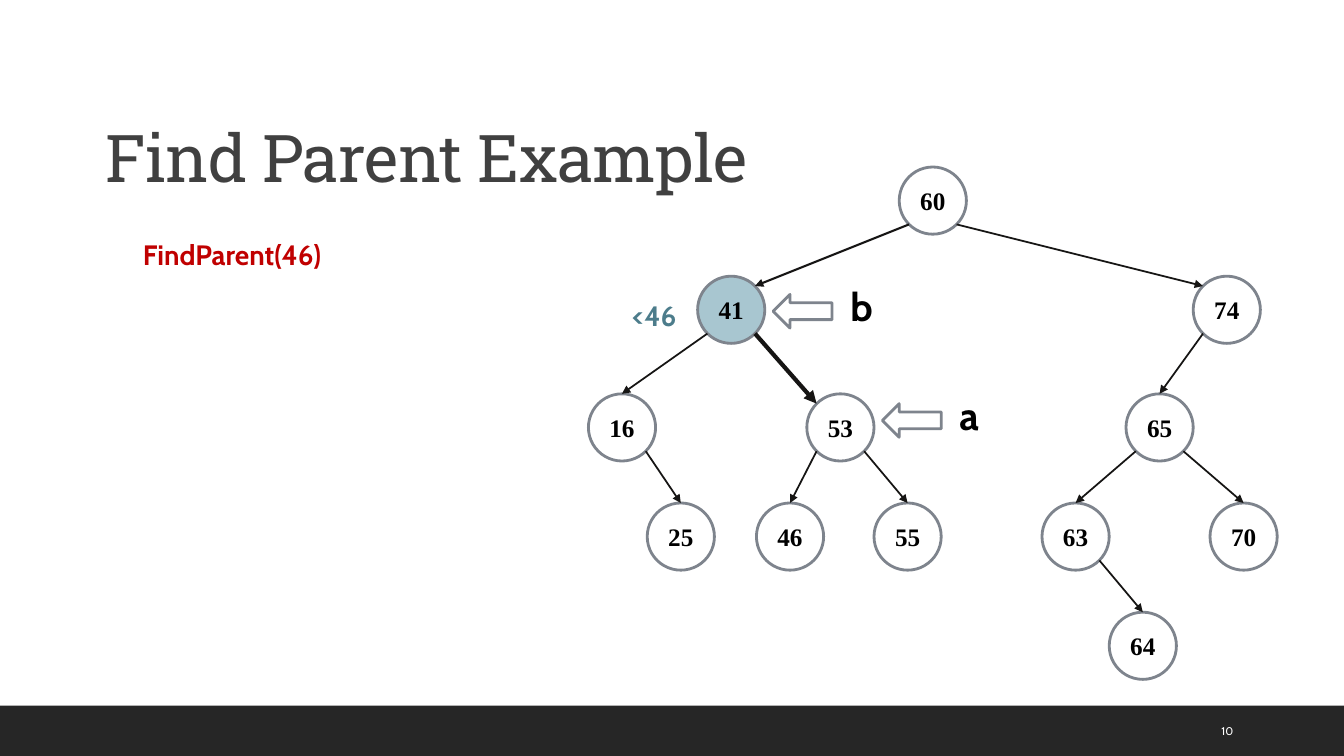
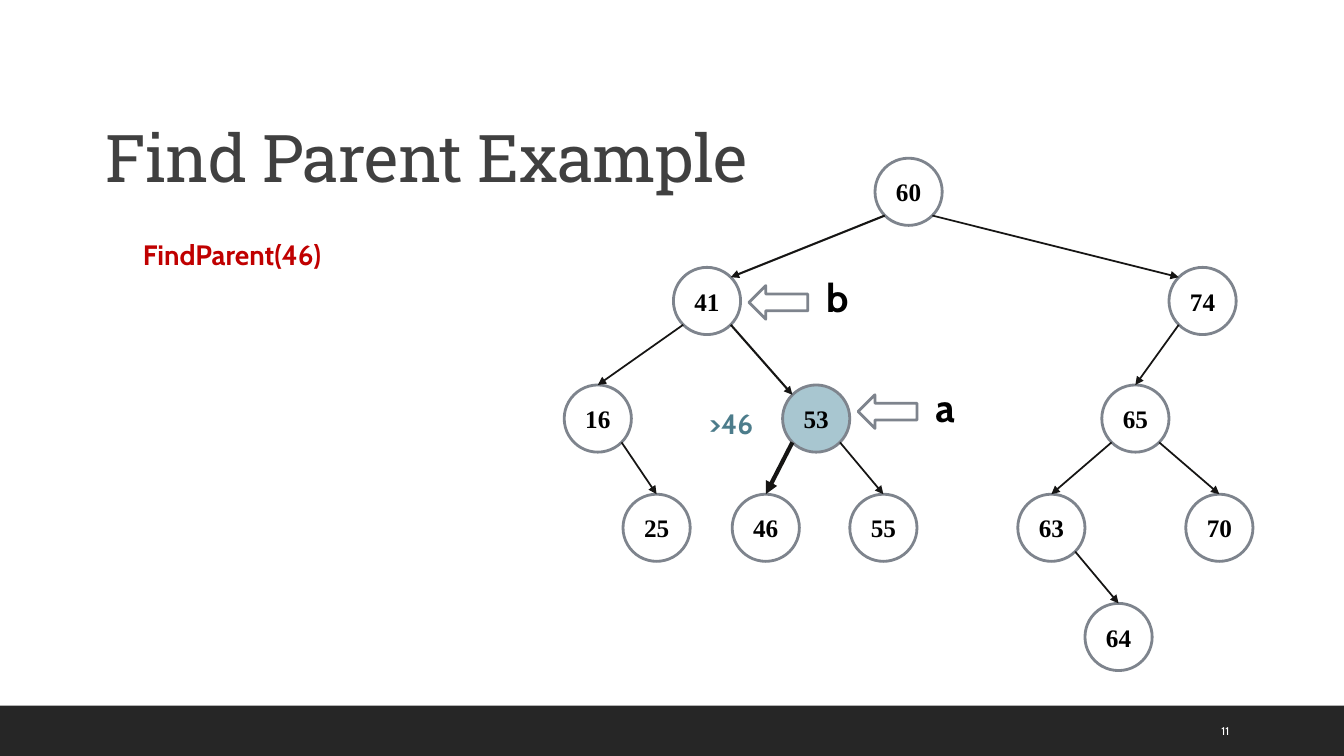
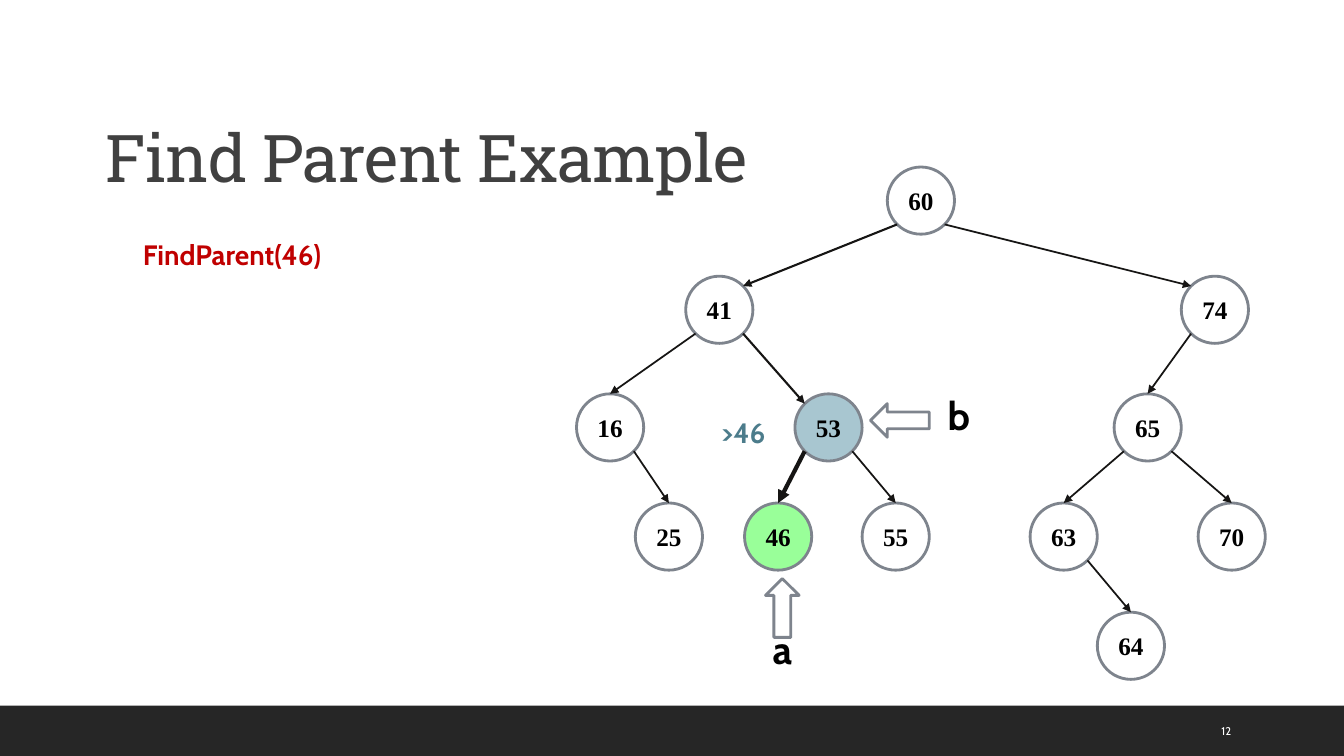
"""Builds three slides that follow FindParent(46) through a binary search tree."""
from lxml.etree import SubElement
from pptx import Presentation
from pptx.dml.color import RGBColor
from pptx.enum.shapes import MSO_CONNECTOR as Connector, MSO_SHAPE as Preset
from pptx.enum.text import MSO_ANCHOR as Anchor, PP_ALIGN as Align
from pptx.oxml.ns import qn
from pptx.util import Pt

COLORS = {
    "white": "FFFFFF", "black": "000000", "band": "262626", "title": "404040",
    "call": "C00000", "outline": "7E848D", "edge": "161514",
    "visited": "A8C6D0", "found": "99FF99", "comparison": "4C7C8B",
}
BODY_FONT, TITLE_FONT, NODE_FONT = "Cabin", "Roboto Slab", "Times New Roman"
NODE_SIZE = 48
CORNER = 7
NODES = {
    60: (222, 0), 41: (78, 78), 74: (432, 78), 16: (0, 162), 53: (156, 162),
    65: (384, 162), 70: (444, 240), 63: (324, 240), 64: (372, 318),
    55: (204, 240), 46: (120, 240), 25: (42, 240),
}
EDGES = [
    (60, 41), (60, 74), (41, 16), (41, 53), (74, 65), (53, 55),
    (53, 46), (16, 25), (65, 63), (65, 70), (63, 64),
]
CORNER_ENDS = (41, 74, 53)
EDGE_WIDTHS = {(60, 41): 1.5, (41, 53): 1.5}
MARKER_DROPS = {41: 13, 53: 7}
STEPS = [
    {"page": 10, "origin": (420.3, 119.3), "fills": {41: "visited"},
     "followed": (41, 53), "side_markers": {"a": 53, "b": 41}, "below_markers": {},
     "comparison": ("<46", 41, 54)},
    {"page": 11, "origin": (403, 113), "fills": {53: "visited"},
     "followed": (53, 46), "side_markers": {"a": 53, "b": 41}, "below_markers": {},
     "comparison": (">46", 53, 60)},
    {"page": 12, "origin": (411.8, 119.3), "fills": {53: "visited", 46: "found"},
     "followed": (53, 46), "side_markers": {"b": 53}, "below_markers": {"a": 46},
     "comparison": (">46", 53, 60)},
]


def color(name):
    """Return the named colour."""
    return RGBColor.from_string(COLORS[name])


class TreeDeck:
    """Holds the style, the presentation and the current slide."""

    def __init__(self):
        """Start an empty widescreen presentation."""
        self.presentation = Presentation()
        self.presentation.slide_width = Pt(960)
        self.presentation.slide_height = Pt(540)

    def start_slide(self, title, page):
        """Add a slide with its title, band and page number."""
        layout = self.presentation.slide_layouts[5]
        self.slide = self.presentation.slides.add_slide(layout)
        self.shape(Preset.RECTANGLE, 0, 504, 960, 36, "band")
        number = self.text(str(page), 865.4, 507.6, 61.2, 28.8, 8, "white", bold=False)
        number.text_frame.vertical_anchor = Anchor.MIDDLE
        placeholder = self.slide.shapes.title
        placeholder.left, placeholder.top = Pt(68.4), Pt(29.5)
        placeholder.width, placeholder.height = Pt(792), Pt(114.5)
        placeholder.text_frame.vertical_anchor = Anchor.BOTTOM
        self.set_text(placeholder, title, 47, "title", TITLE_FONT, bold=False)
        paragraph = placeholder.text_frame.paragraphs[0]
        paragraph.line_spacing = 0.9
        paragraph.runs[0].font._element.set("spc", "-50")

    def set_text(self, shape, text, size, color_name, font_name=BODY_FONT, bold=True,
                 align=Align.LEFT):
        """Put one formatted line of text into a shape."""
        frame = shape.text_frame
        frame.word_wrap = True
        frame.text = text
        paragraph = frame.paragraphs[0]
        paragraph.alignment = align
        font = paragraph.runs[0].font
        font.name, font.size, font.bold = font_name, Pt(size), bold
        font.color.rgb = color(color_name)

    def text(self, text, left, top, width, height, size, color_name, bold=True):
        """Add a text box."""
        box = self.slide.shapes.add_textbox(Pt(left), Pt(top), Pt(width), Pt(height))
        self.set_text(box, text, size, color_name, bold=bold)
        return box

    def shape(self, preset, left, top, width, height, fill, outline=None):
        """Add a filled preset shape."""
        shape = self.slide.shapes.add_shape(
            preset, Pt(left), Pt(top), Pt(width), Pt(height))
        shape.shadow.inherit = False
        shape.fill.solid()
        shape.fill.fore_color.rgb = color(fill)
        if outline:
            shape.line.color.rgb = color(outline)
            shape.line.width = Pt(2)
        else:
            shape.line.fill.background()
        return shape

    def node(self, key, left, top, fill):
        """Add a tree node with its key."""
        circle = self.shape(
            Preset.OVAL, left, top, NODE_SIZE, NODE_SIZE, fill, "outline")
        frame = circle.text_frame
        frame.margin_left = frame.margin_right = 0
        frame.vertical_anchor = Anchor.MIDDLE
        self.set_text(circle, str(key), 18, "black", NODE_FONT, align=Align.CENTER)
        return circle

    def edge(self, start, end, width, child=None):
        """Add an arrow, joined to the top of the child if one is given."""
        connector = self.slide.shapes.add_connector(
            Connector.STRAIGHT, *(Pt(value) for value in (*start, *end)))
        if child is not None:
            connector.end_connect(child, 0)
        connector.line.color.rgb = color("edge")
        connector.line.width = Pt(width)
        SubElement(connector.line._get_or_add_ln(), qn("a:tailEnd"), type="triangle")
        SubElement(connector._element.spPr, qn("a:effectLst"))

    def tree(self, places, fills, followed):
        """Draw all nodes and edges, with the followed edge thick."""
        circles = {key: self.node(key, *place, fills.get(key, "white"))
                   for key, place in places.items()}
        near, far = CORNER, NODE_SIZE - CORNER
        for parent, child in EDGES:
            (left, top), (child_left, child_top) = places[parent], places[child]
            start_x, end_x = (near, far) if child < parent else (far, near)
            start = (left + start_x, top + far)
            width = 3 if (parent, child) == followed else EDGE_WIDTHS.get(
                (parent, child), 1.25)
            if child in CORNER_ENDS:
                self.edge(start, (child_left + end_x, child_top + near), width)
            else:
                top_middle = (child_left + NODE_SIZE / 2, child_top)
                self.edge(start, top_middle, width, circles[child])

    def letter(self, letter, left, top):
        """Add the letter of a pointer."""
        self.text(letter, left, top, 42, 41.2, 28, "black")

    def side_marker(self, letter, left, top):
        """Add a pointer to the right of a node."""
        self.shape(Preset.LEFT_ARROW, left + 54, top, 42, 24, "white", "outline")
        self.letter(letter, left + 102, top - 12)

    def below_marker(self, letter, left, top):
        """Add a pointer below a node."""
        self.shape(Preset.UP_ARROW, left + 15, top + 54, 24, 42, "white", "outline")
        self.letter(letter, left + 13, top + 84)


def main():
    """Build and save the slides."""
    deck = TreeDeck()
    for step in STEPS:
        deck.start_slide("Find Parent Example", step["page"])
        deck.text("FindParent(46)", 95, 166.3, 162, 31.5, 20, "call")
        origin_left, origin_top = step["origin"]
        places = {key: (origin_left + left, origin_top + top)
                  for key, (left, top) in NODES.items()}
        deck.tree(places, step["fills"], step["followed"])
        for letter, key in step["side_markers"].items():
            left, top = places[key]
            deck.side_marker(letter, left, top + MARKER_DROPS[key])
        for letter, key in step["below_markers"].items():
            deck.below_marker(letter, *places[key])
        comparison, key, gap = step["comparison"]
        left, top = places[key]
        deck.text(comparison, left - gap, top + 12, 60, 31.5, 20, "comparison")
    deck.presentation.save("out.pptx")


if __name__ == "__main__":
    main()
